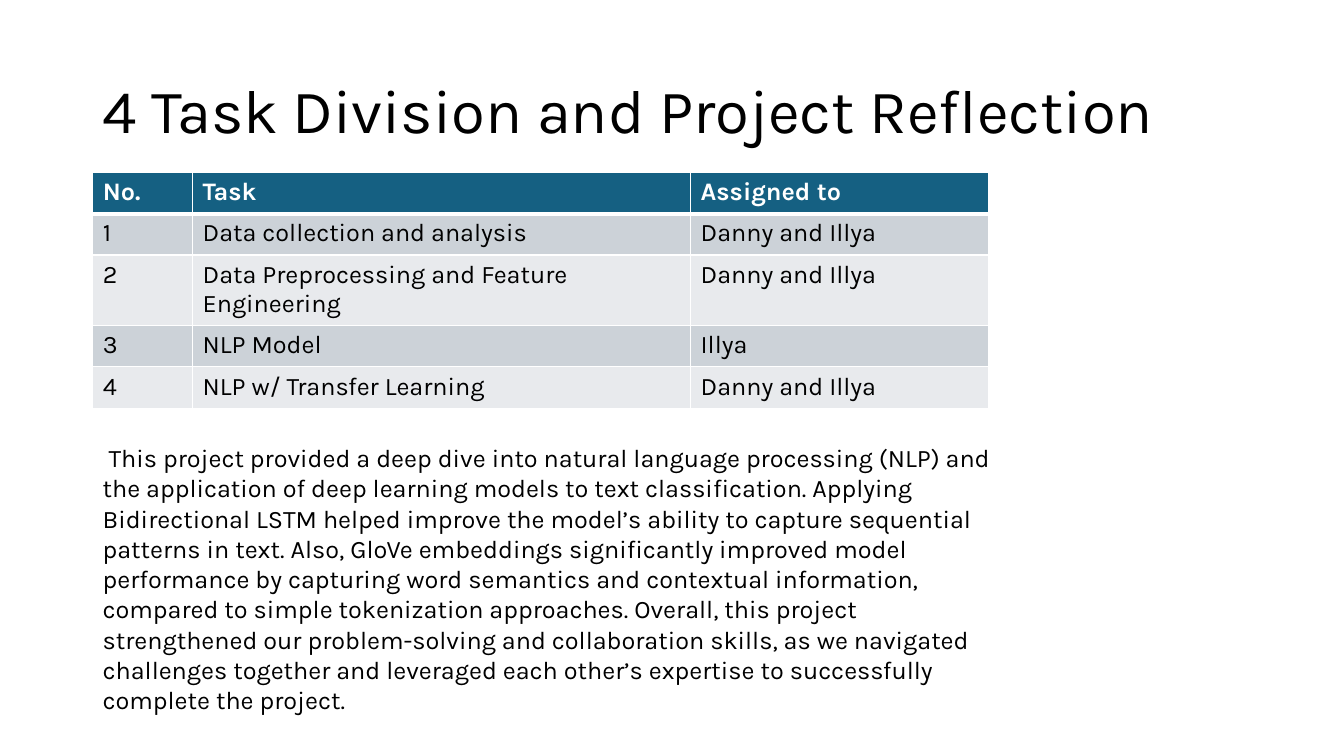
from dataclasses import dataclass

from lxml.etree import SubElement
from pptx import Presentation
from pptx.dml.color import RGBColor
from pptx.enum.text import MSO_ANCHOR
from pptx.oxml.ns import qn
from pptx.util import Pt

PX = 9144


@dataclass(frozen=True)
class Theme:
    font: str = "Karla"
    title_size: int = 44
    body_size: int = 18
    ink: str = "000000"
    paper: str = "FFFFFF"
    header: str = "156082"
    bands: tuple = ("CCD2D8", "E8EAED")
    rule: int = 1
    header_rule: int = 3


THEME = Theme()

TASKS = [
    ("No.", "Task", "Assigned to"),
    ("1", "Data collection and analysis", "Danny and Illya"),
    ("2", "Data Preprocessing and Feature Engineering", "Danny and Illya"),
    ("3", "NLP Model", "Illya"),
    ("4", "NLP w/ Transfer Learning", "Danny and Illya"),
]

REFLECTION = (
    " This project provided a deep dive into natural language processing (NLP) "
    "and the application of deep learning models to text classification. "
    "Applying Bidirectional LSTM helped improve the model’s ability to capture "
    "sequential patterns in text. Also, GloVe embeddings significantly improved "
    "model performance by capturing word semantics and contextual information, "
    "compared to simple tokenization approaches. Overall, this project "
    "strengthened our problem-solving and collaboration skills, as we navigated "
    "challenges together and leveraged each other’s expertise to successfully "
    "complete the project."
)


def emu(*lengths):
    return [n * PX for n in lengths]


def write(tf, text, size, color, bold=False):
    p = tf.paragraphs[0]
    r = p.add_run()
    r.text = text
    formats = {"name": THEME.font, "size": Pt(size), "bold": bold}
    for name, value in formats.items():
        setattr(r.font, name, value)
    r.font.color.rgb = RGBColor.from_string(color)
    return p


def add_text(s, box, text, size, anchor=MSO_ANCHOR.TOP, spacing=None):
    tf = s.shapes.add_textbox(*emu(*box)).text_frame
    for name, value in {"word_wrap": True, "vertical_anchor": anchor}.items():
        setattr(tf, name, value)
    write(tf, text, size, THEME.ink).line_spacing = spacing


def set_borders(cell, widths):
    tcPr = cell._tc.get_or_add_tcPr()
    for side, width in widths.items():
        ln = SubElement(tcPr, qn(f"a:ln{side}"), w=str(Pt(width)))
        fill = SubElement(ln, qn("a:solidFill"))
        SubElement(fill, qn("a:srgbClr"), val=THEME.paper)


def add_task_table(s, box, columns, row_height):
    shape = s.shapes.add_table(len(TASKS), len(columns), *emu(*box))
    table = shape.table
    for column, width in zip(table.columns, columns):
        column.width = width * PX
    for i, values in enumerate(TASKS):
        table.rows[i].height = row_height * PX
        header = i == 0
        fill = THEME.header if header else THEME.bands[(i - 1) % 2]
        color = THEME.paper if header else THEME.ink
        widths = dict.fromkeys("LRTB", THEME.rule)
        if i < 2:
            widths["B" if header else "T"] = THEME.header_rule
        for cell, text in zip(table.rows[i].cells, values):
            set_borders(cell, widths)
            cell.fill.solid()
            cell.fill.fore_color.rgb = RGBColor.from_string(fill)
            write(cell.text_frame, text, THEME.body_size, color, header)


def task_slide(prs, box):
    x, y, w, h = box
    s = prs.slides.add_slide(prs.slide_layouts[6])
    add_text(s, (x + 92, y + 40, w - 183, 145),
             "4 Task Division and Project Reflection",
             THEME.title_size, MSO_ANCHOR.MIDDLE, 0.9)
    add_task_table(s, (x + 92, y + 171, 889, 205), (99, 494, 296), 41)
    add_text(s, (x + 92, y + 434, 906, h - 467), REFLECTION, THEME.body_size)


def main():
    prs = Presentation()
    width, height = 1333, 750
    prs.slide_width, prs.slide_height = emu(width, height)
    task_slide(prs, (0, 0, width, height))
    prs.save("out.pptx")


if __name__ == "__main__":
    main()
